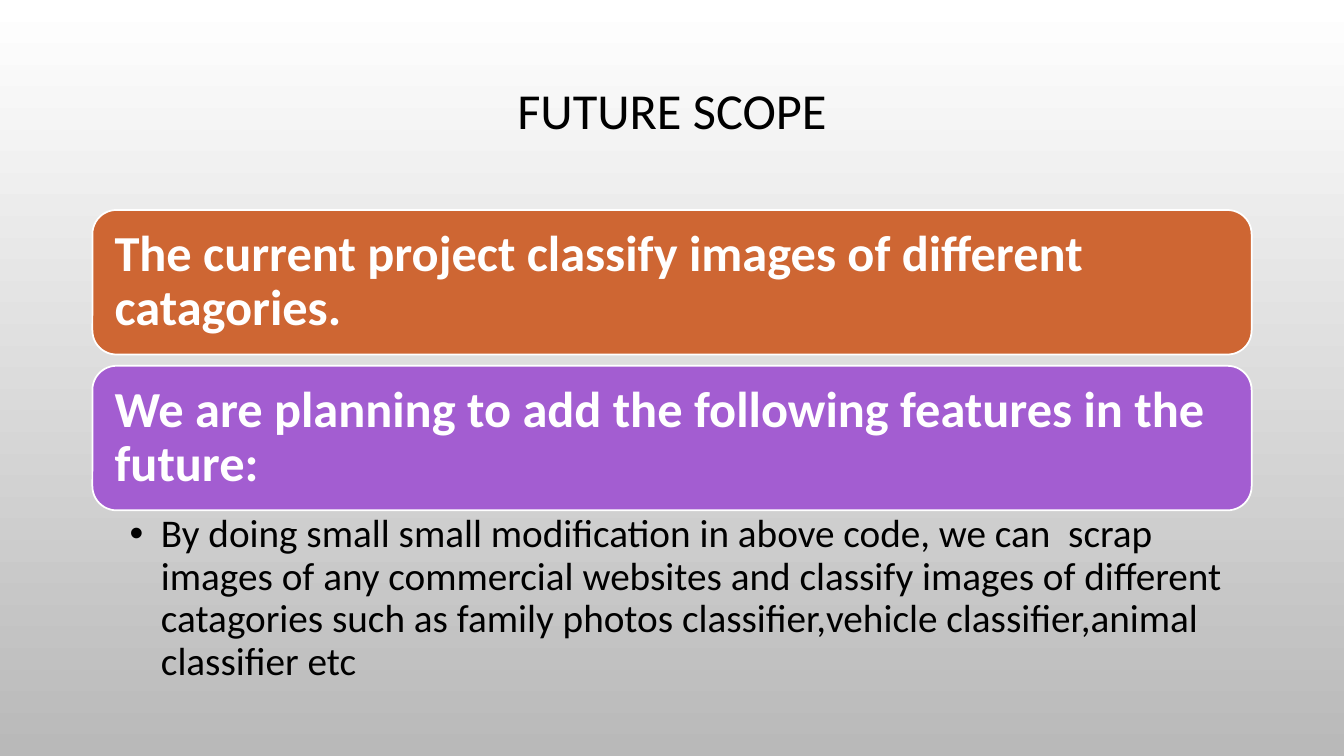
from pptx import Presentation, util as u
from pptx.dml.color import RGBColor
from pptx.enum import shapes, text
from pptx.oxml.ns import qn
from lxml import etree

BLACK = RGBColor(0x00, 0x00, 0x00)
WHITE = RGBColor(0xFF, 0xFF, 0xFF)
SILVER = RGBColor(0xB9, 0xB9, 0xB9)
ORANGE = RGBColor(0xCE, 0x66, 0x33)
PURPLE = RGBColor(0xA3, 0x5D, 0xD1)

COLUMNS, ROWS = 160, 90
LEFT, SPAN = 11, 138
BANNER_TOP, BANNER_HEIGHT, BANNER_STEP = 25, 17.2, 18.55


class ScopeSlide:
    """Holds the style and the current slide, placing elements on a grid of columns and rows."""

    font = "Calibri"
    line_spacing = 0.9

    def __init__(self, deck):
        self.column = deck.slide_width / COLUMNS
        self.row = deck.slide_height / ROWS
        self.slide = deck.slides.add_slide(deck.slide_layouts[1])

    def box(self, top, height):
        return [round(v) for v in (LEFT * self.column, top * self.row,
                                   SPAN * self.column, height * self.row)]

    def place(self, holder, top, height):
        holder.left, holder.top, holder.width, holder.height = self.box(top, height)

    def set_text(self, frame, wording, size, color, align, anchor, insets, bold=False):
        frame.word_wrap = True
        frame.auto_size = text.MSO_AUTO_SIZE.NONE
        frame.vertical_anchor = anchor
        (frame.margin_left, frame.margin_top,
         frame.margin_right, frame.margin_bottom) = [u.Inches(i) for i in insets]
        paragraph = frame.paragraphs[0]
        paragraph.alignment = align
        paragraph.line_spacing = self.line_spacing
        paragraph.space_before = u.Pt(0)
        run = paragraph.add_run()
        run.text = wording
        run.font.name, run.font.size, run.font.bold = self.font, u.Pt(size), bold
        run.font.color.rgb = color
        return paragraph

    def background(self, upper, lower):
        fill = self.slide.background.fill
        fill.gradient()
        fill.gradient_angle = 270
        for stop, position, color in zip(fill.gradient_stops, (0, 1), (upper, lower)):
            stop.position = position
            stop.color.rgb = color

    def title(self, wording, top, height):
        heading = self.slide.shapes.title
        self.place(heading, top, height)
        self.set_text(heading.text_frame, wording, 36, BLACK, text.PP_ALIGN.CENTER,
                      text.MSO_ANCHOR.MIDDLE, (0.1, 0.05, 0.1, 0.05))

    def banner(self, wording, color, top):
        banner = self.slide.shapes.add_shape(
            shapes.MSO_SHAPE.ROUNDED_RECTANGLE, *self.box(top, BANNER_HEIGHT))
        banner.shadow.inherit = False
        banner.fill.solid()
        banner.fill.fore_color.rgb = color
        banner.line.color.rgb = WHITE
        banner.line.width = u.Pt(1.25)
        self.set_text(banner.text_frame, wording, 36, WHITE, text.PP_ALIGN.LEFT,
                      text.MSO_ANCHOR.MIDDLE, (0.15,) * 4, bold=True)

    def bullet(self, wording, top, height):
        features = self.slide.placeholders[1]
        self.place(features, top, height)
        paragraph = self.set_text(features.text_frame, wording, 28, BLACK, text.PP_ALIGN.LEFT,
                                  text.MSO_ANCHOR.TOP, (0.37, 0.05, 0.28, 0.05))
        paragraph.level = 1
        properties = paragraph._p.get_or_add_pPr()
        indent = u.Inches(0.31)
        properties.set("marL", str(indent))
        properties.set("indent", str(-indent))
        etree.SubElement(properties, qn("a:buChar")).set("char", "•")


def main():
    deck = Presentation()
    deck.slide_width, deck.slide_height = u.Inches(13.33), u.Inches(7.5)
    scope = ScopeSlide(deck)
    scope.background(WHITE, SILVER)
    scope.title("FUTURE SCOPE", 4.8, 17.4)
    statements = (
        ("The current project classify images of different catagories.", ORANGE),
        ("We are planning to add the following features in the future:", PURPLE),
    )
    for index, (statement, color) in enumerate(statements):
        scope.banner(statement, color, BANNER_TOP + index * BANNER_STEP)
    scope.bullet(
        "By doing small small modification in above code, we can  scrap images of any "
        "commercial websites and classify images of different catagories such as family "
        "photos classifier,vehicle classifier,animal classifier etc", 60.6, 19.6)
    deck.save("out.pptx")


if __name__ == "__main__":
    main()
